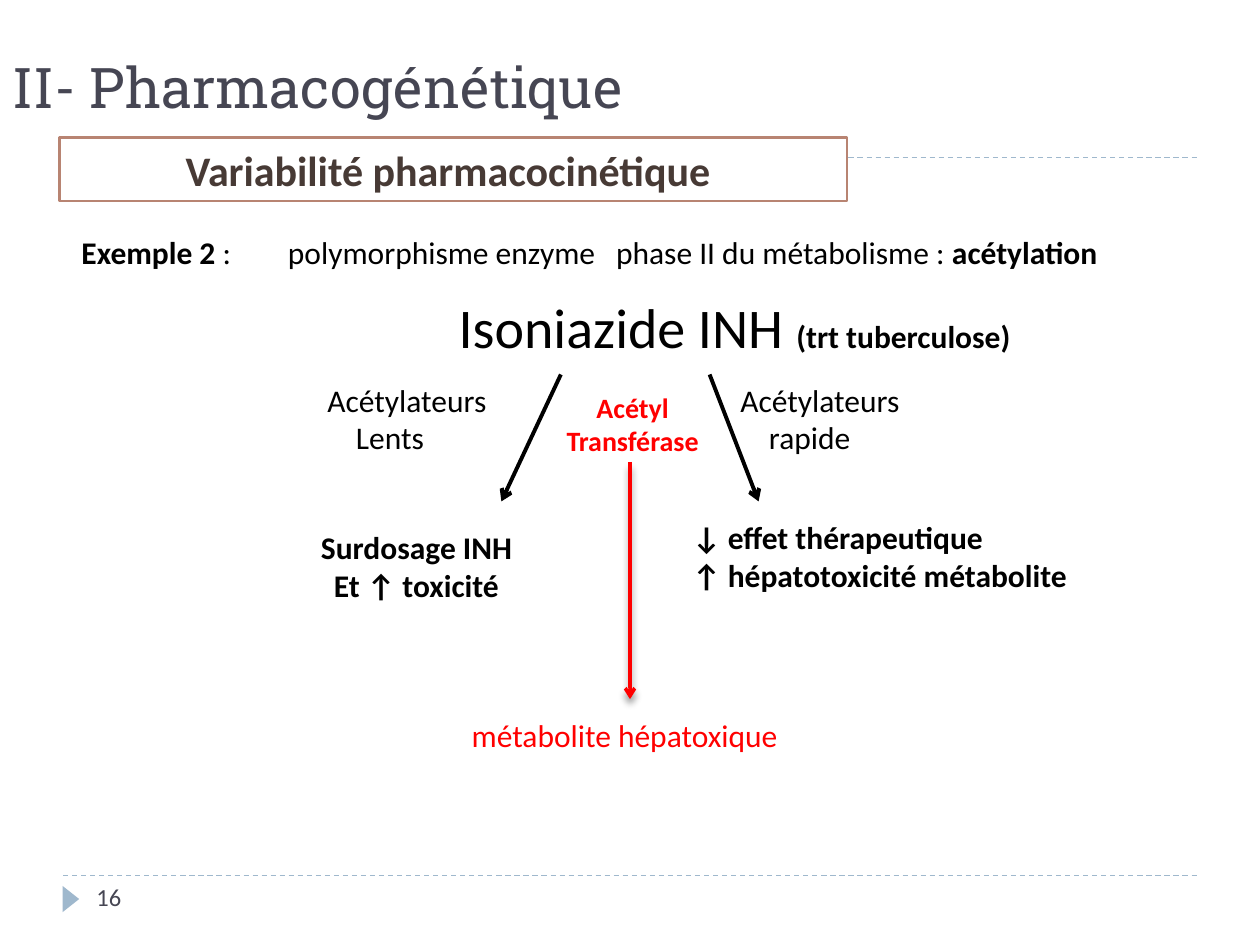
from lxml import etree
from pptx import Presentation
from pptx import util as u
from pptx.dml.color import RGBColor
from pptx.enum import dml, shapes, text
from pptx.oxml import ns

Pt = u.Pt
BLACK, RED, SLATE, BLUE = "000000", "FF0000", "464653", "9FB8CD"
LEFT, CENTER = text.PP_ALIGN.LEFT, text.PP_ALIGN.CENTER

# (left, top, width, height), color, alignment, paragraphs of (text, size, bold) spans
LABELS = [
    ((39.5, 129.5, 116, 29), BLACK, LEFT, [[("Exemple 2 ", 18, True), (":", 18, False)]]),
    ((157.5, 129.5, 493, 29), BLACK, LEFT,
     [[("polymorphisme enzyme\tphase II du métabolisme : ", 18, False),
       ("acétylation", 18, True)]]),
    ((255, 163.5, 366, 46), BLACK, LEFT,
     [[("Isoniazide INH ", 32, False), ("(trt tuberculose)", 18, True)]]),
    ((180, 214, 112, 51), BLACK, LEFT,
     [[("Acétylateurs", 18, False)], [("Lents", 18, False)]]),
    ((416, 214, 112, 51), BLACK, LEFT,
     [[("Acétylateurs", 18, False)], [("rapide", 18, False)]]),
    ((308.5, 219.5, 106, 46), RED, CENTER,
     [[("Acétyl", 16, True)], [("Transférase", 16, True)]]),
    ((388.5, 292.5, 240, 51), BLACK, LEFT,
     [[("↓ effet thérapeutique", 18, True)],
      [("↑ hépatotoxicité métabolite", 18, True)]]),
    ((161, 298, 154, 51), BLACK, CENTER,
     [[("Surdosage INH", 18, True)], [("Et ↑ toxicité", 18, True)]]),
    ((262.5, 405.5, 194, 29), RED, LEFT, [[("métabolite hépatoxique", 18, False)]]),
    ((48, 500.5, 156, 29), SLATE, LEFT, [[("16", 14, False)]]),
]
INDENTS = {"Lents": 16.3, "rapide": 16.3}
PHASE_TAB = 187.5

RULE_TOPS = [500.5, 90]
# start, end, color, width
ARROWS = [
    ((405.5, 214), (433.5, 286.5), BLACK, 2.25),
    ((320.5, 214), (286.5, 286.5), BLACK, 2.25),
    ((360, 264), (360, 399.5), RED, 2),
]


def rgb(value):
    return RGBColor.from_string(value)


def add_box(page, place):
    box = page.shapes.add_textbox(*map(Pt, place))
    box.text_frame.word_wrap = True
    return box


def write(frame, paragraphs, color, align, font="Calibri"):
    for number, spans in enumerate(paragraphs):
        para = frame.paragraphs[0] if number == 0 else frame.add_paragraph()
        para.alignment = align
        content = "".join(span[0] for span in spans)
        properties = para._p.get_or_add_pPr()
        if content in INDENTS:
            properties.set("marL", str(Pt(INDENTS[content])))
        if "\t" in content:
            tabs = etree.SubElement(properties, ns.qn("a:tabLst"))
            etree.SubElement(tabs, ns.qn("a:tab"), pos=str(Pt(PHASE_TAB)), algn="l")
        para.font.name = font
        para.font.color.rgb = rgb(color)
        uniform = len({span[1:] for span in spans}) == 1
        for wording, size, bold in spans:
            run = para.add_run()
            run.text = wording
            target = para.font if uniform else run.font
            target.size, target.bold = Pt(size), bold


def add_line(page, start, end, color, width):
    """Draw a straight line; return it with its empty effect list."""
    line = page.shapes.add_connector(shapes.MSO_CONNECTOR.STRAIGHT, *map(Pt, start + end))
    line.line.color.rgb = rgb(color)
    line.line.width = Pt(width)
    effects = etree.SubElement(line._element.spPr, ns.qn("a:effectLst"))
    return line, effects


def add_shadow(effects):
    shadow = etree.SubElement(effects, ns.qn("a:outerShdw"), blurRad=str(Pt(4)),
                              dist=str(Pt(3.4)), dir="5400000", rotWithShape="0")
    tint = etree.SubElement(shadow, ns.qn("a:srgbClr"), val=BLACK)
    etree.SubElement(tint, ns.qn("a:alpha"), val="40000")


def add_shape(page, kind, place, fill):
    shape = page.shapes.add_shape(kind, *map(Pt, place))
    shape.shadow.inherit = False
    shape.fill.solid()
    shape.fill.fore_color.rgb = rgb(fill)
    return shape


deck = Presentation()
deck.slide_width, deck.slide_height = Pt(720), Pt(540)
page = deck.slides.add_slide(deck.slide_layouts[6])

for top in RULE_TOPS:
    rule, _ = add_line(page, (36, top), (684, top), BLUE, 0.75)
    rule.line.dash_style = dml.MSO_LINE.DASH

marker = add_shape(page, shapes.MSO_SHAPE.ISOSCELES_TRIANGLE, (33, 509, 15, 9.5), BLUE)
marker.rotation = 90
marker.line.fill.background()

title = add_box(page, (0, 0, 718, 72))
title.text_frame.vertical_anchor = text.MSO_ANCHOR.BOTTOM
write(title.text_frame, [[("II- Pharmacogénétique", 32, False)]], SLATE, LEFT, "Roboto Slab")

heading = add_shape(page, shapes.MSO_SHAPE.RECTANGLE, (34, 78.5, 450, 36.5), "FFFFFF")
heading.line.color.rgb = rgb("B88472")
heading.line.width = Pt(1.5)
heading.text_frame.margin_right = Pt(13)
write(heading.text_frame, [[("Variabilité pharmacocinétique", 24, True)]], "473A35", CENTER)

for place, color, align, paragraphs in LABELS:
    write(add_box(page, place).text_frame, paragraphs, color, align)

for start, end, color, width in ARROWS:
    arrow, effects = add_line(page, start, end, color, width)
    etree.SubElement(arrow.line._get_or_add_ln(), ns.qn("a:tailEnd"), type="arrow")
    if color == RED:
        add_shadow(effects)

deck.save("out.pptx")
